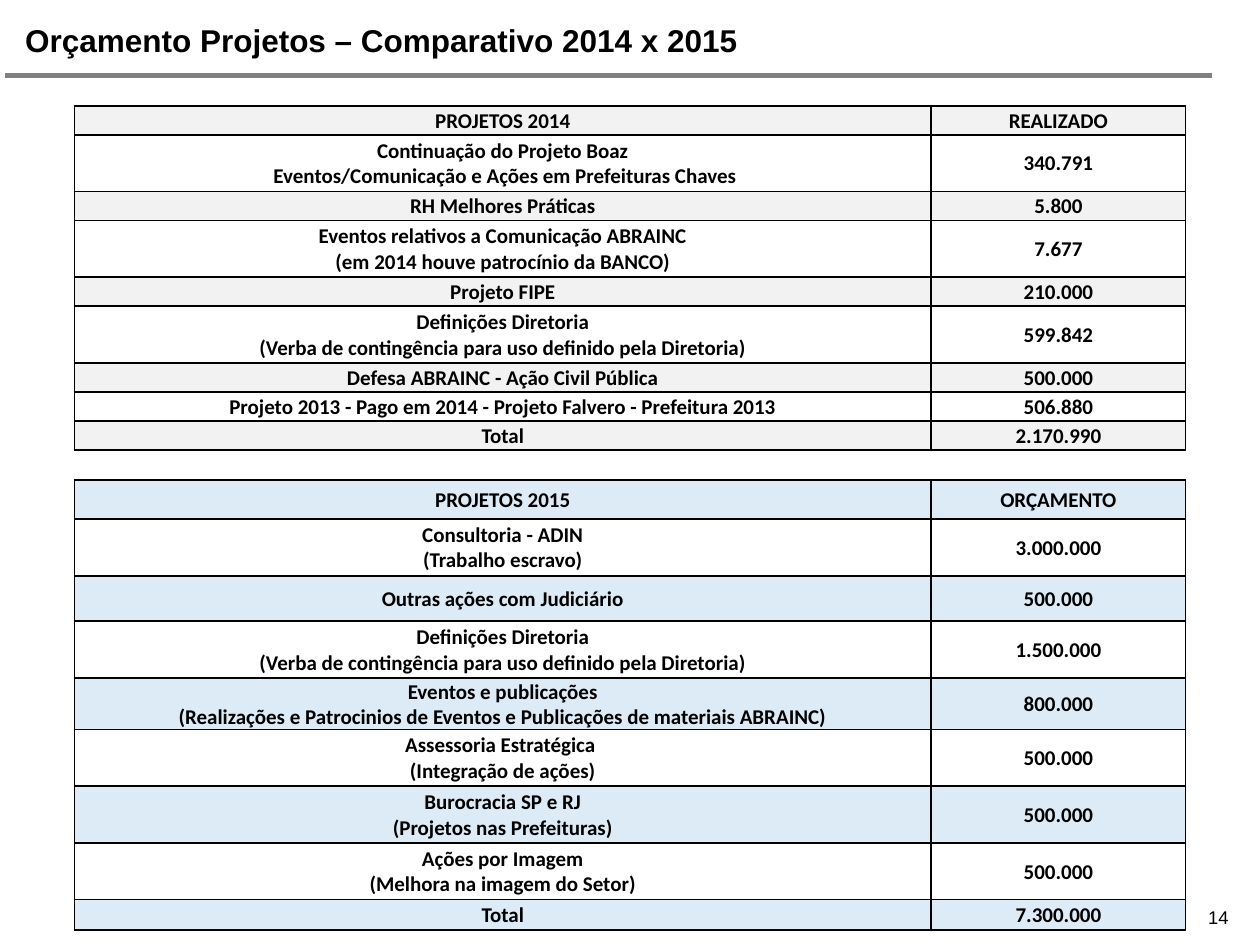
import dataclasses

import pptx
import pptx.dml.color
import pptx.enum.shapes
import pptx.enum.text
import pptx.oxml
import pptx.oxml.ns
import pptx.util
from pptx.util import Inches


@dataclasses.dataclass(frozen=True)
class Theme:
    text: str = "000000"
    rule: str = "808080"
    border: str = "000000"
    plain_row: str = "FFFFFF"
    gray_row: str = "F2F2F2"
    blue_row: str = "DDEBF7"
    title_font: str = "Arial"
    table_font: str = "Calibri"
    title_size: float = 18
    table_size: float = 12
    number_size: float = 10.5
    rule_width: float = 3.2
    border_width: float = 1


THEME = Theme()
COLUMN_WIDTHS = (6.8, 2.02)

# Each row: description, value, height in inches
PROJECTS_2014 = [
    ("PROJETOS 2014", "REALIZADO", 0.23),
    ("Continuação do Projeto Boaz\n Eventos/Comunicação e Ações em Prefeituras Chaves", "340.791", 0.45),
    ("RH Melhores Práticas", "5.800", 0.23),
    ("Eventos relativos a Comunicação ABRAINC\n(em 2014 houve patrocínio da BANCO)", "7.677", 0.45),
    ("Projeto FIPE", "210.000", 0.23),
    ("Definições Diretoria\n(Verba de contingência para uso definido pela Diretoria)", "599.842", 0.45),
    ("Defesa ABRAINC - Ação Civil Pública", "500.000", 0.23),
    ("Projeto 2013 - Pago em 2014 - Projeto Falvero - Prefeitura 2013", "506.880", 0.23),
    ("Total", "2.170.990", 0.23),
]
PROJECTS_2015 = [
    ("PROJETOS 2015", "ORÇAMENTO", 0.31),
    ("Consultoria - ADIN\n(Trabalho escravo)", "3.000.000", 0.45),
    ("Outras ações com Judiciário", "500.000", 0.36),
    ("Definições Diretoria\n(Verba de contingência para uso definido pela Diretoria)", "1.500.000", 0.45),
    ("Eventos e publicações\n(Realizações e Patrocinios de Eventos e Publicações de materiais ABRAINC)",
     "800.000", 0.41),
    ("Assessoria Estratégica \n(Integração de ações)", "500.000", 0.45),
    ("Burocracia SP e RJ\n(Projetos nas Prefeituras)", "500.000", 0.45),
    ("Ações por Imagem\n(Melhora na imagem do Setor)", "500.000", 0.45),
    ("Total", "7.300.000", 0.24),
]


def rgb(value):
    return pptx.dml.color.RGBColor.from_string(value)


def add_run(paragraph, text, font, size, bold=False):
    run = paragraph.add_run()
    run.text = text
    run.font.name = font
    run.font.size = pptx.util.Pt(size)
    run.font.bold = bold
    run.font.color.rgb = rgb(THEME.text)


def add_text(slide, box, text, size, bold=False, insets=(0, 0)):
    """Add one line of text; insets are horizontal, then vertical."""
    frame = slide.shapes.add_textbox(*map(Inches, box)).text_frame
    frame.word_wrap = True
    frame.margin_left = frame.margin_right = Inches(insets[0])
    frame.margin_top = frame.margin_bottom = Inches(insets[1])
    add_run(frame.paragraphs[0], text, THEME.title_font, size, bold)


def add_rule(slide, left, right, top):
    rule = slide.shapes.add_connector(
        pptx.enum.shapes.MSO_CONNECTOR.STRAIGHT,
        Inches(left), Inches(top), Inches(right), Inches(top))
    rule.line.color.rgb = rgb(THEME.rule)
    rule.line.width = pptx.util.Pt(THEME.rule_width)
    rule._element.spPr.append(pptx.oxml.parse_xml(
        f'<a:effectLst {pptx.oxml.ns.nsdecls("a")}/>'))


def add_borders(cell):
    properties = cell._tc.get_or_add_tcPr()
    width = pptx.util.Pt(THEME.border_width)
    # Border elements must come before the cell fill
    for position, side in enumerate(("lnL", "lnR", "lnT", "lnB")):
        properties.insert(position, pptx.oxml.parse_xml(
            f'<a:{side} {pptx.oxml.ns.nsdecls("a")} w="{width}">'
            f'<a:solidFill><a:srgbClr val="{THEME.border}"/></a:solidFill>'
            f'</a:{side}>'))


def fill_cell(cell, text, color):
    cell.fill.solid()
    cell.fill.fore_color.rgb = rgb(color)
    add_borders(cell)
    cell.margin_left = cell.margin_right = cell.margin_top = Inches(0.01)
    cell.margin_bottom = 0
    cell.vertical_anchor = pptx.enum.text.MSO_ANCHOR.MIDDLE
    paragraph = cell.text_frame.paragraphs[0]
    paragraph.alignment = pptx.enum.text.PP_ALIGN.CENTER
    for index, line in enumerate(text.split("\n")):
        if index:
            paragraph.add_line_break()
        add_run(paragraph, line, THEME.table_font, THEME.table_size, bold=True)


def add_budget_table(slide, top, projects, band_color):
    table = slide.shapes.add_table(
        len(projects), len(COLUMN_WIDTHS), Inches(0.59), Inches(top),
        Inches(sum(COLUMN_WIDTHS)),
        Inches(sum(height for _, _, height in projects))).table
    for column, width in zip(table.columns, COLUMN_WIDTHS):
        column.width = Inches(width)
    for index, (project, amount, height) in enumerate(projects):
        table.rows[index].height = Inches(height)
        color = THEME.plain_row if index % 2 else band_color
        fill_cell(table.cell(index, 0), project, color)
        fill_cell(table.cell(index, 1), amount, color)


def main():
    presentation = pptx.Presentation()
    presentation.slide_width = Inches(10)
    presentation.slide_height = Inches(7.5)
    slide = presentation.slides.add_slide(presentation.slide_layouts[6])

    add_rule(slide, 0.04, 9.62, 0.6)
    add_text(slide, (0.2, 0.17, 9.51, 0.35),
             "Orçamento Projetos – Comparativo 2014 x 2015", THEME.title_size, bold=True)
    add_budget_table(slide, 3.81, PROJECTS_2015, THEME.blue_row)
    add_budget_table(slide, 0.84, PROJECTS_2014, THEME.gray_row)
    add_text(slide, (9.49, 7.14, 0.51, 0.28), "14", THEME.number_size, insets=(0.1, 0.05))

    presentation.save("out.pptx")


if __name__ == "__main__":
    main()
